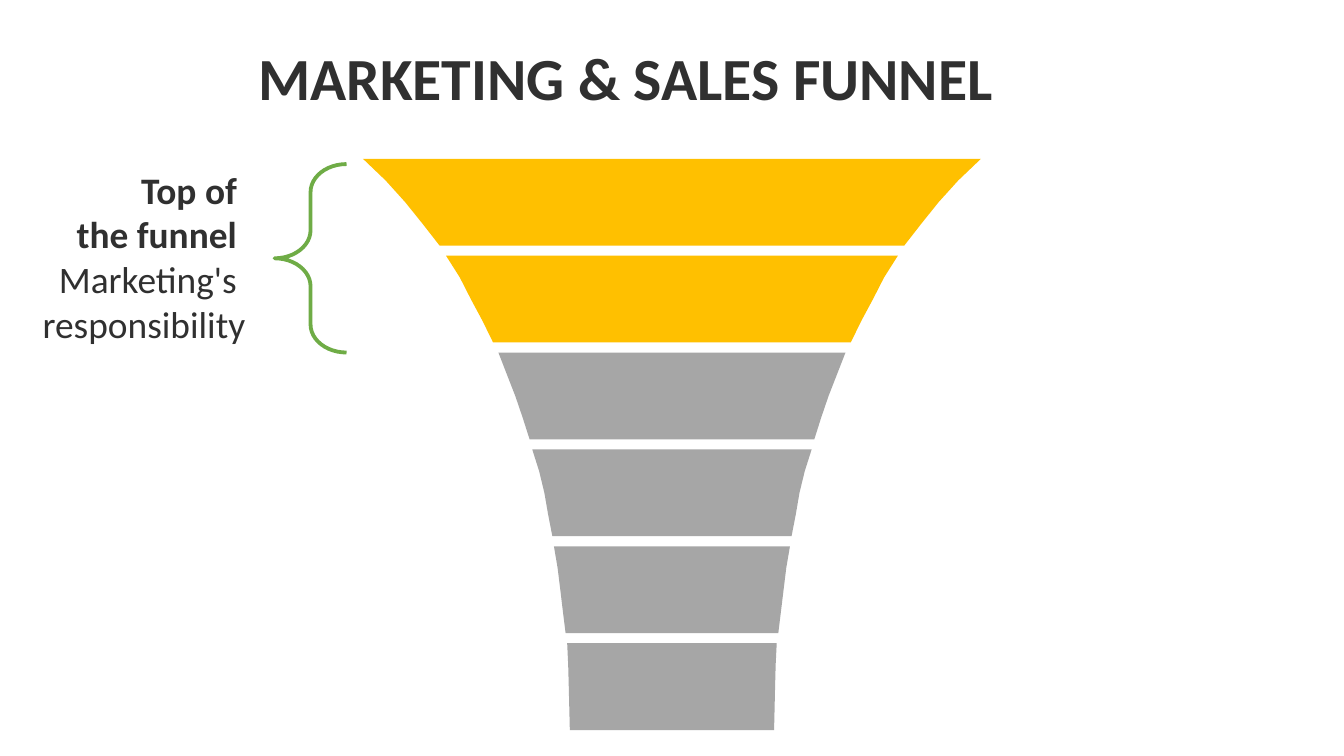
from pptx import Presentation
from pptx.dml.color import RGBColor
from pptx.enum import shapes, text
from pptx.util import Cm, Pt

COLORS = {"ink": "303030", "top": "FFC000", "rest": "A6A6A6", "brace": "6FAC46"}


def write(tf, parts, size, align):
    """Fill one paragraph with (text, bold) parts; a line feed in a text breaks the line."""
    tf.word_wrap = True
    tf.auto_size = text.MSO_AUTO_SIZE.NONE
    tf.vertical_anchor = text.MSO_ANCHOR.TOP
    tf.margin_left = tf.margin_right = tf.margin_bottom = 0
    tf.margin_top = Cm(0.03)
    p = tf.paragraphs[0]
    p.alignment = align
    for part, bold in parts:
        for i, line in enumerate(part.split("\n")):
            if i:
                p.add_line_break()
            if line:
                r = p.add_run()
                r.text = line
                r.font.name = "Calibri"
                r.font.size = Pt(size)
                r.font.bold = bold
                r.font.color.rgb = RGBColor.from_string(COLORS["ink"])
    # Line breaks take the size of the text around them
    p.font.size = Pt(size)


prs = Presentation()
prs.slide_width, prs.slide_height = Cm(25.4), Cm(14.28)
s = prs.slides.add_slide(prs.slide_layouts[5])

# Title
title = s.shapes.title
title.left, title.top, title.width, title.height = Cm(4.88), Cm(0.74), Cm(15.65), Cm(1.42)
write(title.text_frame, [("MARKETING & SALES FUNNEL", True)], 32, text.PP_ALIGN.LEFT)

# Funnel: half widths in cm at equal steps down each band, mirrored about the centre
center, first_top, pitch, band_height = 12.7, 3, 1.83, 1.64
bands = [
    ("top", [5.84, 5.41, 5.04, 4.71, 4.39]),
    ("top", [4.27, 4.01, 3.8, 3.58, 3.38]),
    ("rest", [3.28, 3.12, 2.96, 2.82, 2.69]),
    ("rest", [2.64, 2.51, 2.41, 2.34, 2.26]),
    ("rest", [2.23, 2.16, 2.11, 2.06, 2.01]),
    ("rest", [1.98, 1.96, 1.95, 1.94, 1.93]),
]
for i, (color, halves) in enumerate(bands):
    top = first_top + i * pitch
    step = band_height / (len(halves) - 1)
    left = [(Cm(center - h), Cm(top + j * step)) for j, h in enumerate(halves)]
    right = [(Cm(center + h), Cm(top + j * step)) for j, h in enumerate(halves)]
    outline = left + right[::-1]
    fb = s.shapes.build_freeform(*outline[0])
    fb.add_line_segments(outline[1:], close=True)
    sp = fb.convert_to_shape()
    sp.shadow.inherit = False
    sp.fill.solid()
    sp.fill.fore_color.rgb = RGBColor.from_string(COLORS[color])
    sp.line.fill.background()

# Brace around the top two bands
brace = s.shapes.add_shape(shapes.MSO_SHAPE.LEFT_BRACE, Cm(5.19), Cm(3.1), Cm(1.36), Cm(3.56))
brace.adjustments[0] = 0.39
brace.shadow.inherit = False
brace.fill.background()
brace.line.color.rgb = RGBColor.from_string(COLORS["brace"])
brace.line.width = Pt(2.04)

# Label of the top of the funnel
label = s.shapes.add_textbox(Cm(0.58), Cm(3.12), Cm(4.06), Cm(3.45))
write(label.text_frame,
      [("Top of \nthe funnel \n", True), ("Marketing's \nresponsibility", False)],
      20, text.PP_ALIGN.RIGHT)

prs.save("out.pptx")
